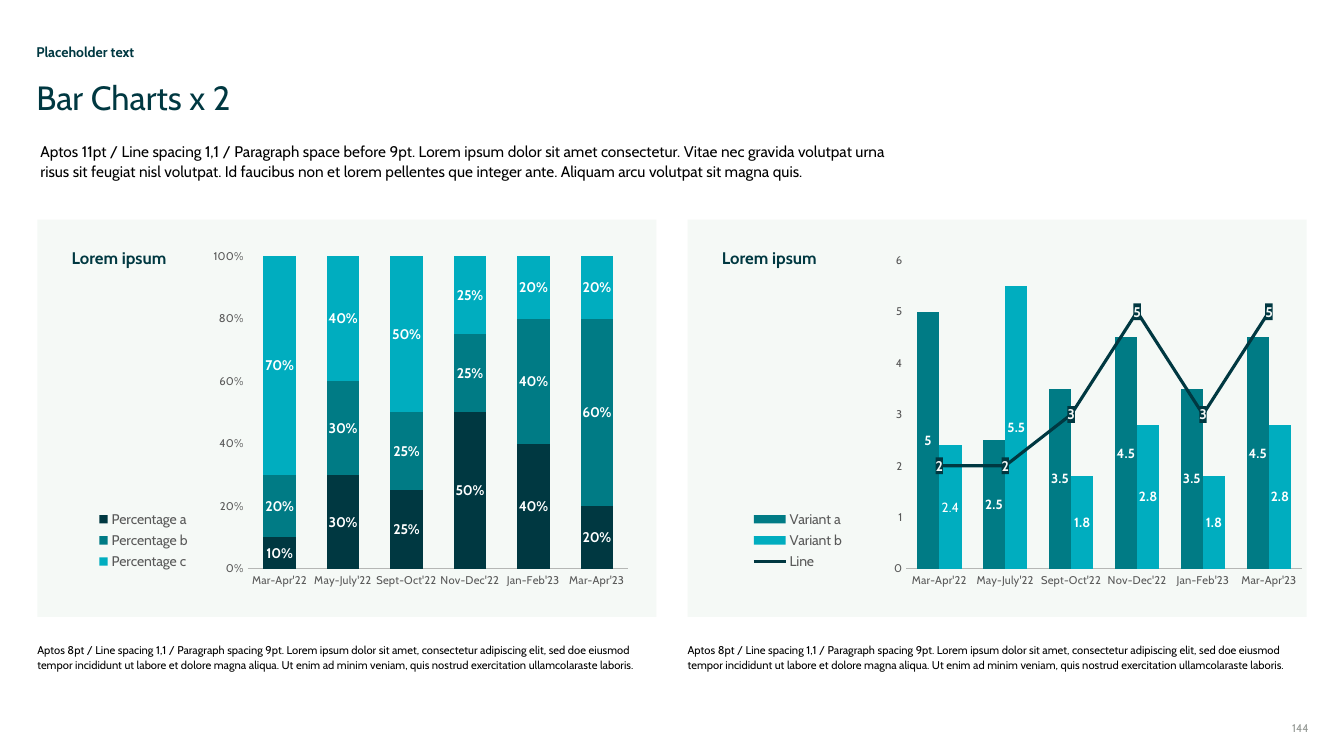
from lxml import etree
from pptx import Presentation
from pptx.chart.data import CategoryChartData
from pptx.dml.color import RGBColor
from pptx.enum.chart import (XL_CHART_TYPE as CT, XL_LABEL_POSITION as LP, XL_LEGEND_POSITION as LEG,
                             XL_MARKER_STYLE as MARKER, XL_TICK_MARK as TICK)
from pptx.enum.shapes import MSO_SHAPE
from pptx.enum.text import MSO_ANCHOR, PP_ALIGN
from pptx.oxml import parse_xml
from pptx.oxml.ns import nsdecls, qn
from pptx.util import Inches, Pt

FONT = "Cabin"
DARK = RGBColor(0x00, 0x38, 0x41)
TEAL = RGBColor(0x00, 0x7B, 0x85)
CYAN = RGBColor(0x00, 0xAD, 0xBF)
PANEL = RGBColor(0xF5, 0xF9, 0xF6)
PALE = RGBColor(0xF5, 0xF8, 0xF6)
WHITE = RGBColor(0xFF, 0xFF, 0xFF)
BLACK = RGBColor(0x00, 0x00, 0x00)
GREY = RGBColor(0x59, 0x59, 0x59)
AXIS = RGBColor(0xB5, 0xB7, 0xB5)
PAGE = RGBColor(0x93, 0x97, 0x93)

PERIODS = ["Mar-Apr'22", "May-July'22", "Sept-Oct'22", "Nov-Dec'22", "Jan-Feb'23", "Mar-Apr'23"]
SHARES = [("Percentage a", [0.1, 0.3, 0.25, 0.5, 0.4, 0.2], DARK),
          ("Percentage b", [0.2, 0.3, 0.25, 0.25, 0.4, 0.6], TEAL),
          ("Percentage c", [0.7, 0.4, 0.5, 0.25, 0.2, 0.2], CYAN)]
VARIANTS = [("Variant a", [5, 2.5, 3.5, 4.5, 3.5, 4.5], TEAL),
            ("Variant b", [2.4, 5.5, 1.8, 2.8, 1.8, 2.8], CYAN),
            ("Line", [2, 2, 3, 5, 3, 5], DARK)]
INTRO = ("Aptos 11pt / Line spacing 1,1 / Paragraph space before 9pt. Lorem ipsum dolor sit amet "
         "consectetur. Vitae nec gravida volutpat urna risus sit feugiat nisl volutpat. Id faucibus "
         "non et lorem pellentes que integer ante. Aliquam arcu volutpat sit magna quis.")
NOTE = ("Aptos 8pt / Line spacing 1,1 / Paragraph spacing 9pt. Lorem ipsum dolor sit amet, consectetur "
        "adipiscing elit, sed doe eiusmod tempor incididunt ut labore et dolore magna aliqua. Ut enim "
        "ad minim veniam, quis nostrud exercitation ullamcolaraste laboris.")


def set_font(font, size, color, bold=False):
    """Apply the deck font with a size, colour and weight."""
    font.name, font.size, font.bold = FONT, Pt(size), bold
    font.color.rgb = color


def add_text(slide, text, box, size, color=DARK, bold=False, spacing=0.9, align=PP_ALIGN.LEFT,
             inset=0, holder=None):
    """Write text in a new box or in the given placeholder."""
    left, top, width, height = (Inches(v) for v in box)
    sp = holder or slide.shapes.add_textbox(left, top, width, height)
    sp.left, sp.top, sp.width, sp.height = left, top, width, height
    tf = sp.text_frame
    tf.word_wrap = True
    tf.vertical_anchor = MSO_ANCHOR.TOP
    tf.margin_left = Inches(inset)
    tf.margin_top = tf.margin_right = tf.margin_bottom = 0
    p = tf.paragraphs[0]
    p.alignment, p.line_spacing, p.space_before = align, spacing, Pt(0)
    r = p.add_run()
    r.text = text
    set_font(r.font, size, color, bold)


def add_panel(slide, left):
    """Draw the pale panel behind a chart."""
    sp = slide.shapes.add_shape(MSO_SHAPE.RECTANGLE, Inches(left), Inches(2.18), Inches(6.14), Inches(3.94))
    sp.shadow.inherit = False
    sp.fill.solid()
    sp.fill.fore_color.rgb = PANEL
    sp.line.fill.background()


def remove_children(parent, *tags):
    """Remove the children that have any of the tags."""
    for tag in tags:
        for child in parent.findall(qn(tag)):
            parent.remove(child)


def set_layout(parent, index, x, y, w, h, inner=False):
    """Place a chart part by fractions of the chart area."""
    remove_children(parent, "c:layout")
    target = '<c:layoutTarget val="inner"/>' if inner else ""
    parent.insert(index, parse_xml(
        f'<c:layout {nsdecls("c")}><c:manualLayout>{target}<c:xMode val="edge"/><c:yMode val="edge"/>'
        f'<c:x val="{x}"/><c:y val="{y}"/><c:w val="{w}"/><c:h val="{h}"/></c:manualLayout></c:layout>'))


def label_series(series, size, color, number_format):
    """Show centred bold values on a series."""
    labels = series.data_labels
    labels.show_value = True
    labels.position = LP.CENTER
    labels.number_format, labels.number_format_is_linked = number_format, False
    set_font(labels.font, size, color, True)
    return labels


def add_columns(slide, kind, left, width, data, top, maximum, unit, number_format, label_size):
    """Add a column chart with the shared axis and legend style."""
    chart_data = CategoryChartData(number_format=number_format)
    chart_data.categories = PERIODS
    for name, values, _ in data:
        chart_data.add_series(name, values)
    chart = slide.shapes.add_chart(kind, Inches(left), Inches(2.19), Inches(width), Inches(3.94),
                                   chart_data).chart
    chart.has_title = False
    set_font(chart.font, 10, BLACK)
    plot = chart.plots[0]
    plot.gap_width, plot.vary_by_categories = 96, False
    plot.overlap = 100 if kind == CT.COLUMN_STACKED else 0
    for series, (_, _, color) in zip(plot.series, data):
        series.format.fill.solid()
        series.format.fill.fore_color.rgb = color
        label_series(series, label_size, WHITE, number_format)
    for axis in (chart.category_axis, chart.value_axis):
        axis.major_tick_mark = axis.minor_tick_mark = TICK.NONE
        axis.has_major_gridlines = False
        set_font(axis.tick_labels.font, 8, GREY)
    line = chart.category_axis.format.line
    line.color.rgb, line.width = AXIS, Pt(0.75)
    value_axis = chart.value_axis
    value_axis.format.line.fill.background()
    value_axis.minimum_scale, value_axis.maximum_scale, value_axis.major_unit = 0, maximum, unit
    value_axis.tick_labels.number_format = number_format
    value_axis.tick_labels.number_format_is_linked = False
    chart.has_legend = True
    legend = chart.legend
    legend.position, legend.include_in_layout = LEG.BOTTOM, False
    set_font(legend.font, 10, GREY)
    legend_element = legend.font and chart._chartSpace.chart.find(qn("c:legend"))
    set_layout(legend_element, 1, 0.045, 0.72, 0.25, 0.17)
    plot_area = chart._chartSpace.chart.plotArea
    set_layout(plot_area, 0, 0.339, top, 0.616, round(0.876 - top, 3), inner=True)
    return chart


def turn_last_into_line(chart):
    """Move the last column series into a line plot on the same axes."""
    plot_area = chart._chartSpace.chart.plotArea
    bars = plot_area.find(qn("c:barChart"))
    ser = bars.findall(qn("c:ser"))[-1]
    remove_children(ser, "c:invertIfNegative", "c:spPr", "c:dLbls")
    lines = parse_xml(f'<c:lineChart {nsdecls("c")}><c:grouping val="standard"/>'
                      '<c:varyColors val="0"/><c:marker val="1"/></c:lineChart>')
    lines.insert(2, ser)
    for axis_id in bars.findall(qn("c:axId")):
        etree.SubElement(lines, qn("c:axId")).set("val", axis_id.get("val"))
    bars.addnext(lines)
    series = chart.plots[1].series[0]
    series.smooth = False
    series.marker.style = MARKER.NONE
    series.format.line.color.rgb, series.format.line.width = DARK, Pt(2.25)
    label_series(series, 10, PALE, "General")
    ser.find(qn("c:dLbls")).find(qn("c:txPr")).addprevious(parse_xml(
        f'<c:spPr {nsdecls("c", "a")}><a:solidFill><a:srgbClr val="{DARK}"/></a:solidFill></c:spPr>'))


def add_plain_label(series, index, text):
    """Give one point a regular-weight label."""
    label = series.points[index].data_label
    r = label.text_frame.paragraphs[0].add_run()
    r.text = text
    set_font(r.font, 9.5, WHITE)
    label.position = LP.CENTER


def main():
    """Build the slide and save it."""
    prs = Presentation()
    prs.slide_width, prs.slide_height = Inches(13.33), Inches(7.5)
    s = prs.slides.add_slide(prs.slide_layouts[5])
    add_text(s, "Bar Charts x 2", (0.36, 0.81, 12.61, 0.37), 24, holder=s.shapes.title)
    add_text(s, "Placeholder text", (0.36, 0.45, 12.61, 0.15), 10, bold=True)
    add_text(s, INTRO, (0.36, 1.39, 8.68, 0.4), 11, BLACK, spacing=1.1, inset=0.04)
    for left in (0.37, 6.82):
        add_panel(s, left)
        add_text(s, NOTE, (left, 6.37, 6.14, 0.29), 8, BLACK, spacing=1.1)
    add_columns(s, CT.COLUMN_STACKED, 0.38, 6.13, SHARES, 0.089, 1, 0.2, "0%", 10)
    combo = add_columns(s, CT.COLUMN_CLUSTERED, 6.83, 6.37, VARIANTS, 0.1, 6, 1, "General", 9.5)
    turn_last_into_line(combo)
    add_plain_label(combo.plots[0].series[1], 0, "2.4")
    for left in (0.71, 7.16):
        add_text(s, "Lorem ipsum", (left, 2.48, 1.31, 0.18), 12, bold=True)
    add_text(s, "144", (12.23, 7.16, 0.75, 0.15), 8, PAGE, spacing=1, align=PP_ALIGN.RIGHT)
    prs.save("out.pptx")


if __name__ == "__main__":
    main()
